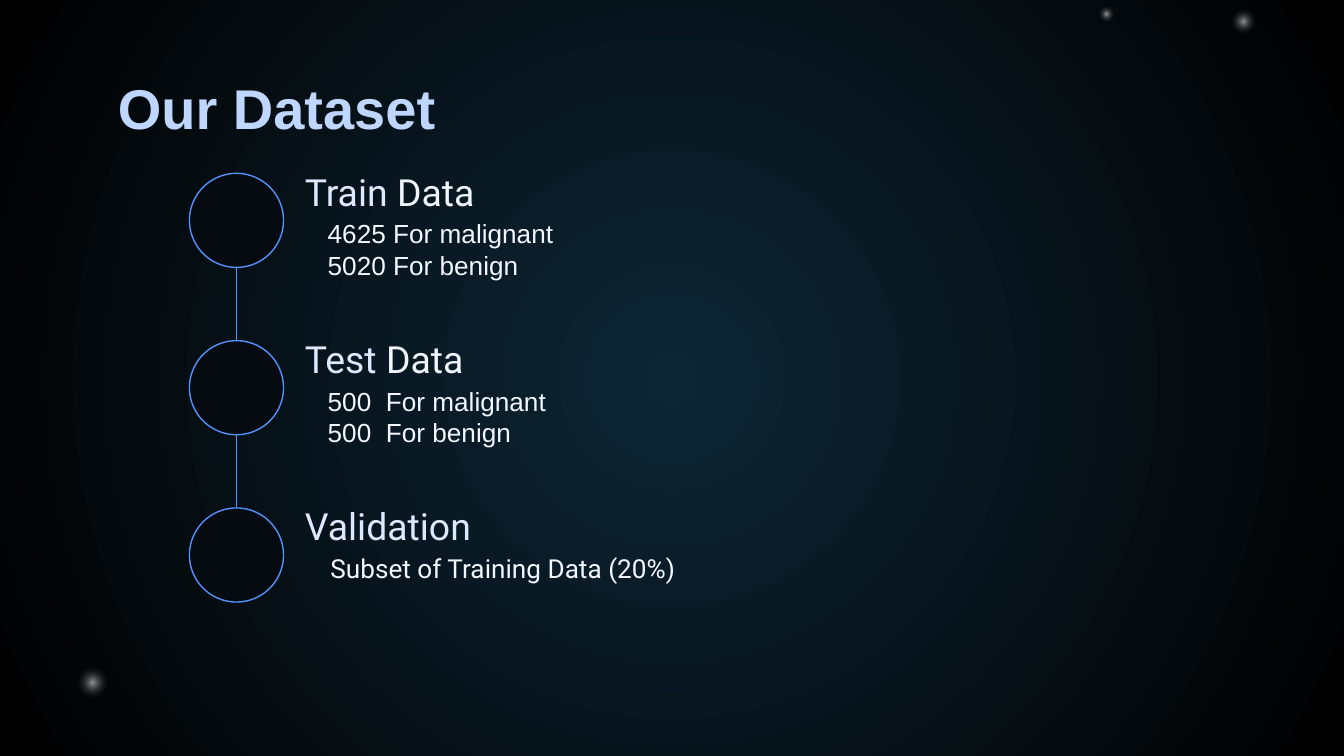
from pptx import Presentation
from pptx.dml.color import RGBColor
from pptx.enum.shapes import MSO_CONNECTOR, MSO_SHAPE
from pptx.enum.text import MSO_ANCHOR
from pptx.oxml.ns import qn
from pptx.util import Inches, Pt
from lxml.etree import SubElement

COLORS = {
    "glow": "0D2635",
    "night": "000000",
    "star": "FFFFFF",
    "title": "BFD6FF",
    "heading": "DDE9FF",
    "body": "F1F6FF",
    "ring": "5492FF",
    "ring_fill": "050B11",
}
SLIDE_WIDTH = 10
SLIDE_HEIGHT = SLIDE_WIDTH * 9 / 16
RING_LEFT, RING_TOP, RING_SIZE = 1.41, 1.29, 0.7
ROW_STEP = 2.49 / 2
TEXT_LEFT, TEXT_WIDTH = 2.17, 3.04
STARS = [(8.07, -0.06, 0.33), (8.99, -0.1, 0.52), (0.36, 4.75, 0.66)]
DATASETS = [
    ([("Train ", "heading"), ("Data", "body")],
     ["4625 For malignant", "5020 For benign"], "Arial", 0.17),
    ([("Test ", "heading"), ("Data", "body")],
     ["500  For malignant", "500  For benign"], "Arial", 0.17),
    ([("Validation", "heading")],
     ["Subset of Training Data (20%)"], "Roboto", 0.19),
]


def color(name):
    return RGBColor.from_string(COLORS[name])


def set_radial_fill(fill, owner, stops):
    fill.gradient()
    gradient = owner.find(".//" + qn("a:gradFill"))
    for child in list(gradient):
        gradient.remove(child)
    stop_list = SubElement(gradient, qn("a:gsLst"))
    for position, name, opacity in stops:
        stop = SubElement(stop_list, qn("a:gs"), pos=str(position * 1000))
        tint = SubElement(stop, qn("a:srgbClr"), val=COLORS[name])
        if opacity < 100:
            SubElement(tint, qn("a:alpha"), val=str(opacity * 1000))
    circle = SubElement(gradient, qn("a:path"), path="circle")
    sides = dict.fromkeys("ltrb", "50000")
    SubElement(circle, qn("a:fillToRect"), **sides)


def add_circle(slide, left, top, size):
    circle = slide.shapes.add_shape(
        MSO_SHAPE.OVAL, Inches(left), Inches(top), Inches(size), Inches(size))
    circle.shadow.inherit = False
    return circle


def add_star(slide, left, top, size):
    star = add_circle(slide, left, top, size)
    star.line.fill.background()
    set_radial_fill(star.fill, star._element.spPr,
                    [(0, "star", 57), (28, "night", 0), (100, "night", 0)])


def add_ring(slide, top):
    ring = add_circle(slide, RING_LEFT, top, RING_SIZE)
    ring.fill.solid()
    ring.fill.fore_color.rgb = color("ring_fill")
    ring.line.color.rgb = color("ring")
    ring.line.width = Pt(0.75)


def add_link(slide, top, bottom):
    center = Inches(RING_LEFT + RING_SIZE / 2)
    link = slide.shapes.add_connector(
        MSO_CONNECTOR.STRAIGHT, center, Inches(top), center, Inches(bottom))
    link.line.color.rgb = color("ring")
    link.line.width = Pt(0.75)
    SubElement(link._element.spPr, qn("a:effectLst"))


def add_text(slide, box, lines, font, size, bold=False, indent=0,
             anchor=MSO_ANCHOR.TOP):
    frame = slide.shapes.add_textbox(*map(Inches, box)).text_frame
    frame.word_wrap = True
    frame.vertical_anchor = anchor
    frame.margin_left = frame.margin_right = Inches(0.1)
    frame.margin_top = frame.margin_bottom = Inches(0.1)
    for index, parts in enumerate(lines):
        line = frame.add_paragraph() if index else frame.paragraphs[0]
        if indent:
            line._p.get_or_add_pPr().set("marL", str(Inches(indent)))
        for words, tone in parts:
            run = line.add_run()
            run.text = words
            run.font.name = font
            run.font.size = Pt(size)
            run.font.bold = bold
            run.font.color.rgb = color(tone)


def add_dataset(slide, top, heading, details, font, indent):
    add_text(slide, (TEXT_LEFT, top, TEXT_WIDTH, 0.4), [heading],
             "Roboto", 20, anchor=MSO_ANCHOR.BOTTOM)
    add_text(slide, (TEXT_LEFT, top + 0.23, TEXT_WIDTH, 0.6),
             [[(detail, "body")] for detail in details],
             font, 14, indent=indent)
    add_ring(slide, top)


def main():
    deck = Presentation()
    deck.slide_width = Inches(SLIDE_WIDTH)
    deck.slide_height = Inches(SLIDE_HEIGHT)
    slide = deck.slides.add_slide(deck.slide_layouts[6])
    set_radial_fill(slide.background.fill, slide._element,
                    [(0, "glow", 100), (100, "night", 100)])
    for star in STARS:
        add_star(slide, *star)
    add_text(slide, (0.78, 0.45, 8.44, 0.63), [[("Our Dataset", "title")]],
             "Arial", 30, bold=True)
    for row, dataset in enumerate(DATASETS):
        top = RING_TOP + row * ROW_STEP
        if row:
            add_link(slide, top - ROW_STEP + RING_SIZE, top)
        add_dataset(slide, top, *dataset)
    deck.save("out.pptx")


if __name__ == "__main__":
    main()
